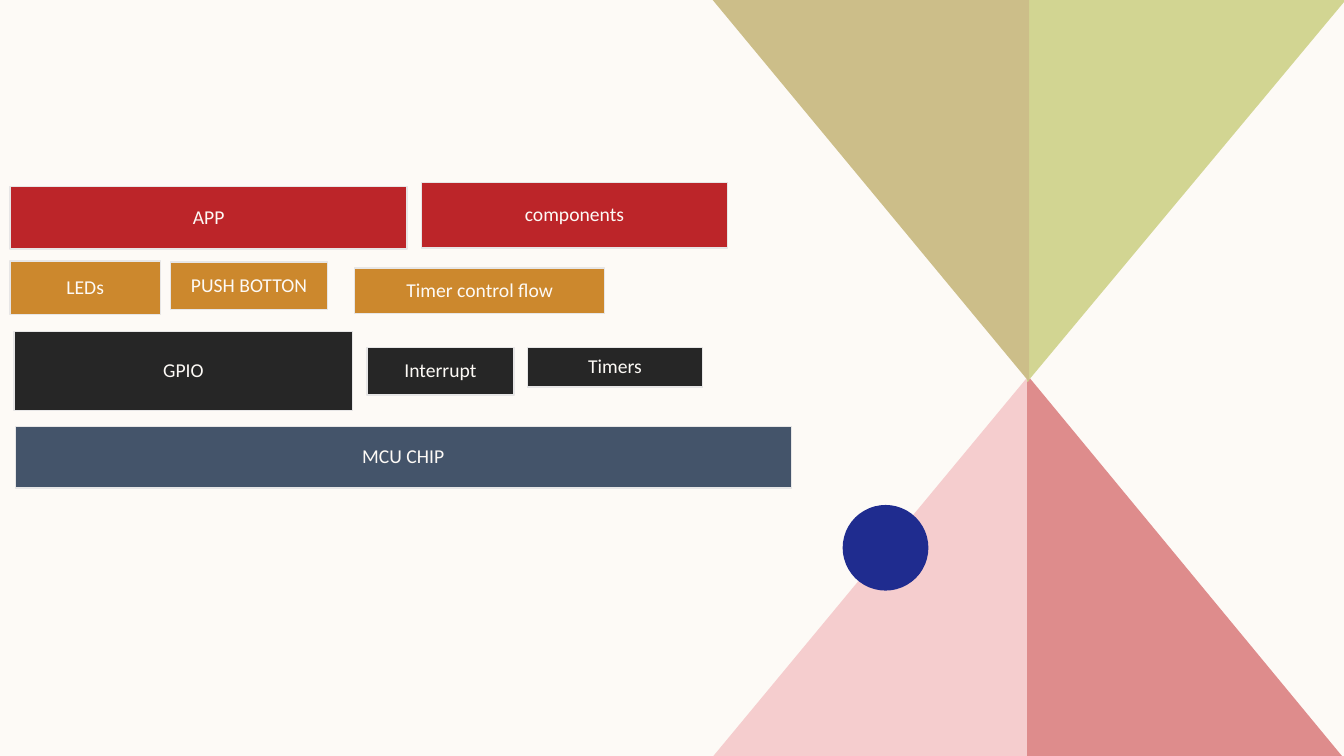
"""Build a slide of layered software architecture beside four triangles."""
from dataclasses import dataclass

from pptx import Presentation
from pptx.dml.color import RGBColor
from pptx.enum.shapes import MSO_SHAPE
from pptx.enum.text import MSO_ANCHOR, PP_ALIGN
from pptx.shapes.autoshape import Shape
from pptx.slide import Slide
from pptx.util import Inches, Pt

SLIDE_WIDTH = Inches(13.33)
SLIDE_HEIGHT = Inches(7.5)


@dataclass(frozen=True)
class Theme:
    """Colours, font and sizes of the slide."""
    paper: str = "FDFAF6"
    outline: str = "E7E6E6"
    application: str = "BC2529"
    driver: str = "CC882D"
    peripheral: str = "262626"
    controller: str = "44546A"
    pink: str = "F5CDCE"
    rose: str = "DE8C8C"
    lime: str = "D2D592"
    sand: str = "CCBE89"
    navy: str = "1F2C8F"
    font: str = "Calibri"
    text_size: float = 14
    line_width: float = 1
    line_spacing: float = 0.9
    inset: float = 0.06


THEME = Theme()


@dataclass(frozen=True)
class Block:
    """A labelled block, placed in percent of the slide's size."""
    label: str
    left: float
    top: float
    width: float
    height: float


@dataclass(frozen=True)
class Triangle:
    """A right triangle with its upright side at the axis, in percent."""
    axis: float
    tip: float
    outer: float
    edge: float
    color: str


LAYERS: dict[str, list[Block]] = {
    THEME.application: [
        Block("APP", 0.75, 24.67, 29.55, 8.27),
        Block("components", 31.35, 24.13, 22.8, 8.67),
    ],
    THEME.driver: [
        Block("LEDs", 0.75, 34.53, 11.18, 7.07),
        Block("PUSH BOTTON", 12.68, 34.67, 11.7, 6.27),
        Block("Timer control flow", 26.4, 35.47, 18.6, 6),
    ],
    THEME.peripheral: [
        Block("GPIO", 1.05, 43.87, 25.2, 10.4),
        Block("Interrupt", 27.3, 46, 10.95, 6.27),
        Block("Timers", 39.23, 46, 13.05, 5.2),
    ],
    THEME.controller: [Block("MCU CHIP", 1.13, 56.4, 57.75, 8.13)],
}

TRIANGLES = [
    Triangle(76.58, 49.6, 52.95, 100.27, THEME.pink),
    Triangle(76.43, 49.6, 99.98, 100.27, THEME.rose),
    Triangle(76.43, 50.53, 100.13, 0, THEME.lime),
    Triangle(76.58, 50.53, 53.03, 0, THEME.sand),
]

DOT = Block("", 62.7, 66.8, 6.38, 11.33)


def across(percent: float) -> int:
    """Turn a share of the slide's width into a length."""
    return round(SLIDE_WIDTH * percent / 100)


def down(percent: float) -> int:
    """Turn a share of the slide's height into a length."""
    return round(SLIDE_HEIGHT * percent / 100)


def paint(shape: Shape, color: str) -> None:
    """Give a shape a plain fill without line or shadow."""
    shape.shadow.inherit = False
    shape.fill.solid()
    shape.fill.fore_color.rgb = RGBColor.from_string(color)
    shape.line.fill.background()


def draw_triangle(page: Slide, triangle: Triangle) -> None:
    """Draw one triangle of the hourglass."""
    axis, edge = across(triangle.axis), down(triangle.edge)
    builder = page.shapes.build_freeform(axis, down(triangle.tip))
    builder.add_line_segments([(across(triangle.outer), edge), (axis, edge)])
    paint(builder.convert_to_shape(), triangle.color)


def draw_block(page: Slide, block: Block, kind: MSO_SHAPE, color: str) -> Shape:
    """Draw a filled preset shape at the block's place."""
    shape = page.shapes.add_shape(
        kind, across(block.left), down(block.top),
        across(block.width), down(block.height))
    paint(shape, color)
    return shape


def draw_layer_block(page: Slide, block: Block, color: str) -> None:
    """Draw an outlined block with its centred label."""
    box = draw_block(page, block, MSO_SHAPE.RECTANGLE, color)
    box.line.color.rgb = RGBColor.from_string(THEME.outline)
    box.line.width = Pt(THEME.line_width)
    frame = box.text_frame
    frame.word_wrap = True
    frame.vertical_anchor = MSO_ANCHOR.MIDDLE
    frame.margin_left = frame.margin_right = Inches(THEME.inset)
    frame.margin_top = frame.margin_bottom = Inches(THEME.inset)
    para = frame.paragraphs[0]
    para.text = block.label
    para.alignment = PP_ALIGN.CENTER
    para.line_spacing = THEME.line_spacing
    para.font.name = THEME.font
    para.font.size = Pt(THEME.text_size)
    para.font.color.rgb = RGBColor.from_string(THEME.paper)


def main() -> None:
    """Build and save the deck."""
    deck = Presentation()
    deck.slide_width, deck.slide_height = SLIDE_WIDTH, SLIDE_HEIGHT
    page = deck.slides.add_slide(deck.slide_layouts[6])
    page.background.fill.solid()
    page.background.fill.fore_color.rgb = RGBColor.from_string(THEME.paper)
    for triangle in TRIANGLES:
        draw_triangle(page, triangle)
    draw_block(page, DOT, MSO_SHAPE.OVAL, THEME.navy)
    for color, blocks in LAYERS.items():
        for block in blocks:
            draw_layer_block(page, block, color)
    deck.save("out.pptx")


if __name__ == "__main__":
    main()
